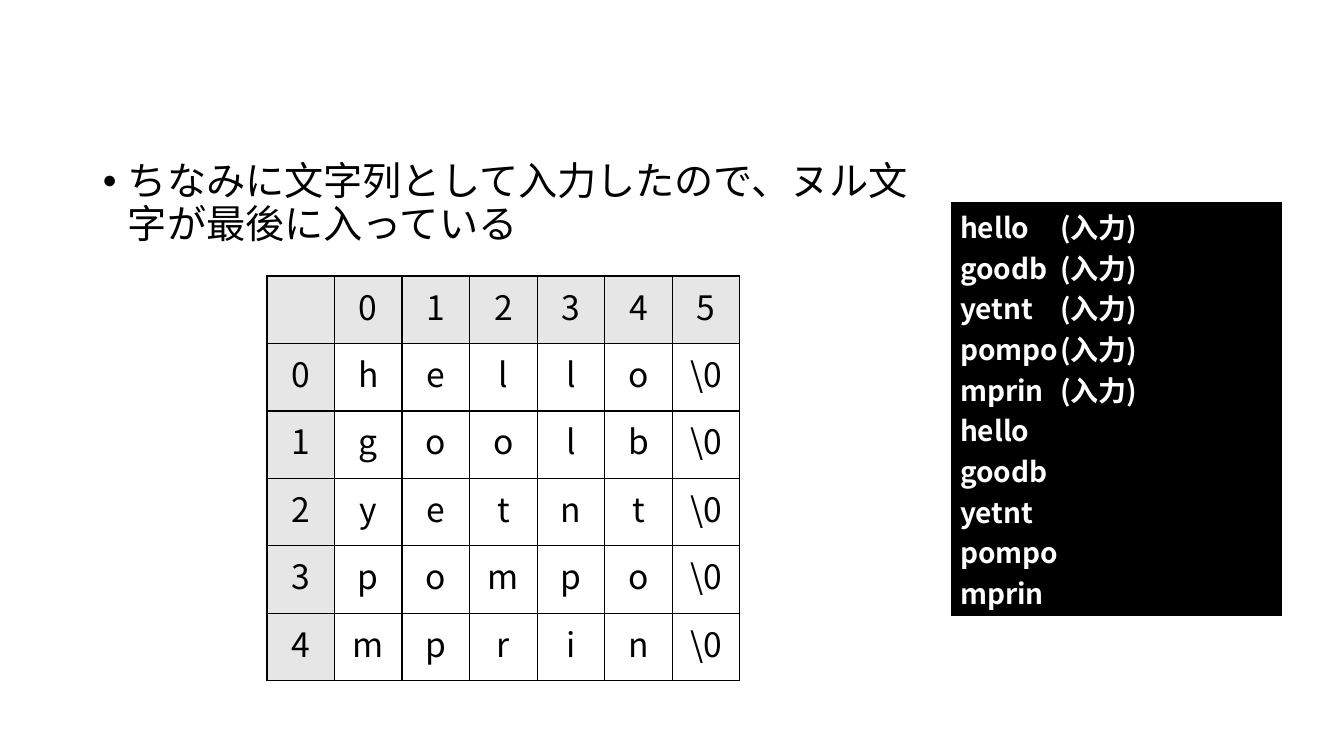
"""Build a slide on null characters at the end of input strings."""
from lxml import etree
from pptx import Presentation, util as u
from pptx.dml.color import RGBColor
from pptx.enum import text
from pptx.oxml.ns import qn

FONT = "Noto Sans CJK JP"
HUE = {"ink": "000000", "paper": "FFFFFF", "head": "E7E6E6"}
PX = 914400 / 100.8


def write(frame, words, size=24, hue="ink", bold=False, align="LEFT", space=1.0, tab=0, bullet=0):
    for i, line in enumerate(words.split("\n")):
        para = frame.paragraphs[0] if i == 0 else frame.add_paragraph()
        props = para._p.get_or_add_pPr()
        if bullet:
            props.set("marL", str(round(bullet * PX)))
            props.set("indent", str(round(-bullet * PX)))
            etree.SubElement(props, qn("a:buFont"), typeface="Arial")
            etree.SubElement(props, qn("a:buChar"), char="•")
        if tab:
            tabs = etree.SubElement(props, qn("a:tabLst"))
            etree.SubElement(tabs, qn("a:tab"), pos=str(round(tab * PX)), algn="l")
        para.alignment = getattr(text.PP_ALIGN, align)
        para.line_spacing = space
        run = para.add_run()
        run.text = line
        font = run.font
        font.name, font.size, font.bold = FONT, u.Pt(size), bold
        font.color.rgb = RGBColor.from_string(HUE[hue])
        etree.SubElement(run._r.get_or_add_rPr(), qn("a:ea"), typeface=FONT)


def grid(rows, cols, box, line, base=1):
    frame = slide.shapes.add_table(rows, cols, *[round(n * PX) for n in box])
    table = frame.table
    table.first_row = table.horz_banding = False
    for cell in table.iter_cells():
        props = cell._tc.get_or_add_tcPr()
        for side in "LRTB":
            width = u.Pt(base if side == "B" else 1)
            edge = etree.SubElement(props, qn("a:ln" + side), w=str(width))
            fill = etree.SubElement(edge, qn("a:solidFill"))
            etree.SubElement(fill, qn("a:srgbClr"), val=HUE[line])
    return table


deck = Presentation()
deck.slide_width, deck.slide_height = round(1344 * PX), round(756 * PX)
slide = deck.slides.add_slide(deck.slide_layouts[6])

names = ["hello", "goodb", "yetnt", "pompo", "mprin"]
shell = grid(1, 1, (950, 201, 333, 364), "paper", base=3).cell(0, 0)
shell.fill.solid()
shell.fill.fore_color.rgb = RGBColor.from_string(HUE["ink"])
lines = [name + "\t(入力)" for name in names] + names
write(shell.text_frame, "\n".join(lines), size=20, hue="paper", bold=True, tab=100)

words = ["hello", "goolb", "yetnt", "pompo", "mprin"]
data = [["", *"012345"]]
data += [[str(i), *word, "\\0"] for i, word in enumerate(words)]
table = grid(6, 7, (267, 276, 473, 405), "ink")
for r, row in enumerate(data):
    for c, value in enumerate(row):
        cell = table.cell(r, c)
        if r == 0 or c == 0:
            cell.fill.solid()
            cell.fill.fore_color.rgb = RGBColor.from_string(HUE["head"])
        else:
            cell.fill.background()
        if value:
            write(cell.text_frame, value, align="CENTER")

note = slide.shapes.add_textbox(*[round(n * PX) for n in (93, 157, 842, 523)])
note.text_frame.word_wrap = True
write(note.text_frame, "ちなみに文字列として入力したので、ヌル文字が最後に入っている",
      size=28, space=0.9, bullet=25)

deck.save("out.pptx")
